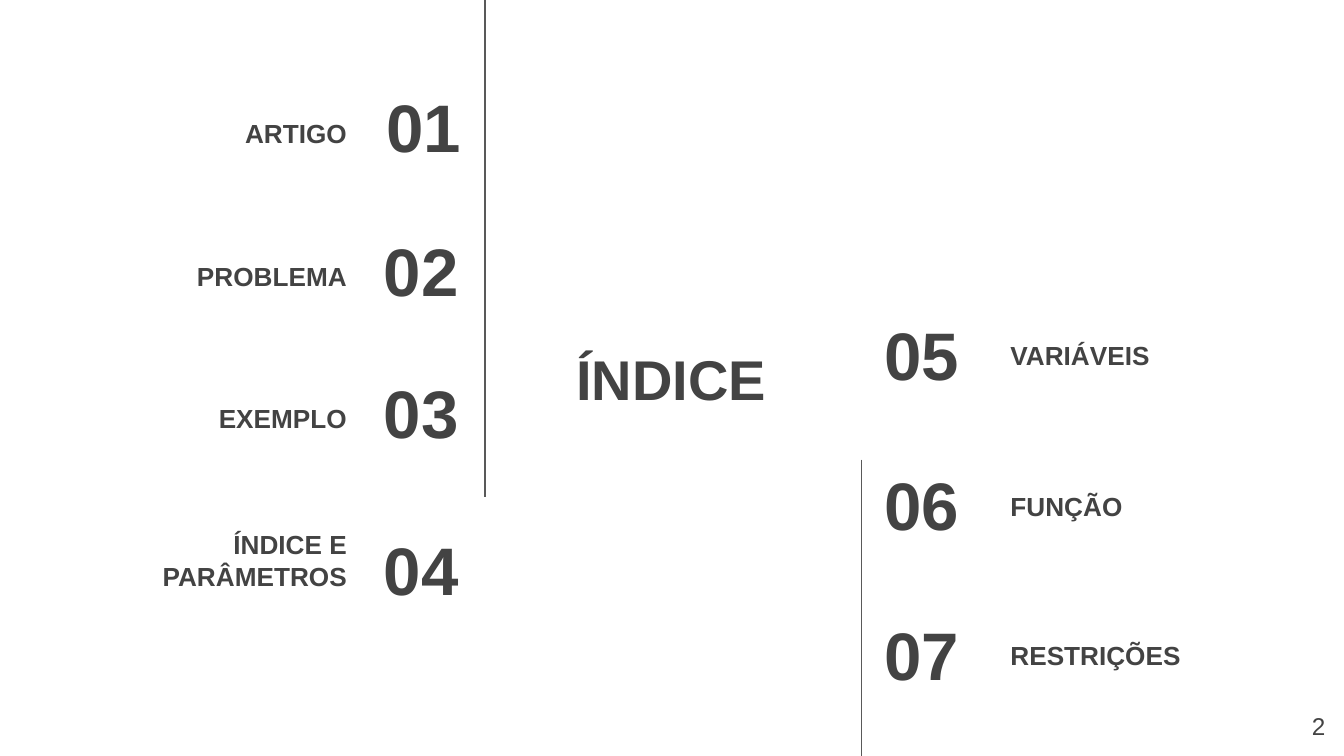
from dataclasses import dataclass

from lxml.etree import SubElement
from pptx import Presentation
from pptx.dml.color import RGBColor
from pptx.enum.shapes import MSO_CONNECTOR
from pptx.enum.text import MSO_ANCHOR, PP_ALIGN
from pptx.oxml.ns import qn
from pptx.slide import Slide
from pptx.util import Inches, Pt

HUES = {"text": "434343", "rule": "595959", "back": "FFFFFF"}
WIDE = 10
HIGH = WIDE * 9 / 16
PAD = 0.1


@dataclass
class Side:
    num_x: float
    num_w: float
    name_x: float
    align: PP_ALIGN


@dataclass
class Entry:
    name: str
    num_y: float
    name_y: float
    side: Side
    shift: float = 0


@dataclass
class Rule:
    x: float
    top: float
    end: float


LEFT = Side(2.3, 1.21, 0.52, PP_ALIGN.RIGHT)
RIGHT = Side(6.48, 1.17, 7.42, PP_ALIGN.LEFT)

ITEMS = [
    Entry("ARTIGO", 0.62, 0.76, LEFT, 0.02),
    Entry("PROBLEMA", 1.69, 1.82, LEFT),
    Entry("EXEMPLO", 2.75, 2.88, LEFT),
    Entry("ÍNDICE E PARÂMETROS", 3.92, 4.05, LEFT),
    Entry("VARIÁVEIS", 2.32, 2.41, RIGHT),
    Entry("FUNÇÃO", 3.43, 3.53, RIGHT),
    Entry("RESTRIÇÕES", 4.55, 4.64, RIGHT),
]
RULES = [Rule(3.61, 0, 3.7), Rule(6.41, 3.42, HIGH)]


def hue(key: str) -> RGBColor:
    return RGBColor.from_string(HUES[key])


def add_text(slide: Slide, text: str, x: float, y: float, w: float, h: float,
             size: float, align: PP_ALIGN, anchor: MSO_ANCHOR,
             bold: bool = True) -> None:
    box = slide.shapes.add_textbox(Inches(x), Inches(y), Inches(w), Inches(h))
    frame = box.text_frame
    layout = {"word_wrap": True, "vertical_anchor": anchor}
    layout |= {f"margin_{edge}": Inches(PAD)
               for edge in ("left", "top", "right", "bottom")}
    for key, value in layout.items():
        setattr(frame, key, value)
    par = frame.paragraphs[0]
    par.alignment = align
    run = par.add_run()
    run.text = text
    style = {"name": "Arial", "size": Pt(size), "bold": bold}
    for key, value in style.items():
        setattr(run.font, key, value)
    run.font.color.rgb = hue("text")


def add_entry(slide: Slide, rank: int, item: Entry) -> None:
    side = item.side
    add_text(slide, f"{rank:02}", side.num_x + item.shift, item.num_y,
             side.num_w, 0.63, 36, side.align, MSO_ANCHOR.MIDDLE)
    add_text(slide, item.name, side.name_x, item.name_y,
             2.16, 0.45, 14, side.align, MSO_ANCHOR.BOTTOM)


def add_rule(slide: Slide, rule: Rule) -> None:
    line = slide.shapes.add_connector(
        MSO_CONNECTOR.STRAIGHT, Inches(rule.x), Inches(rule.top),
        Inches(rule.x), Inches(rule.end))
    line.line.color.rgb = hue("rule")
    line.line.width = Pt(0.75)
    SubElement(line._element.spPr, qn("a:effectLst"))


def main() -> None:
    deck = Presentation()
    deck.slide_width, deck.slide_height = Inches(WIDE), Inches(HIGH)
    slide = deck.slides.add_slide(deck.slide_layouts[6])
    slide.background.fill.solid()
    slide.background.fill.fore_color.rgb = hue("back")
    add_text(slide, "ÍNDICE", 3.7, 2.3, 2.59, 1.03, 30,
             PP_ALIGN.CENTER, MSO_ANCHOR.MIDDLE)
    for rank, item in enumerate(ITEMS, 1):
        add_entry(slide, rank, item)
    for rule in RULES:
        add_rule(slide, rule)
    add_text(slide, "2", 9.36, 5.19, 0.6, 0.43, 13,
             PP_ALIGN.RIGHT, MSO_ANCHOR.TOP, bold=False)
    deck.save("out.pptx")


if __name__ == "__main__":
    main()
